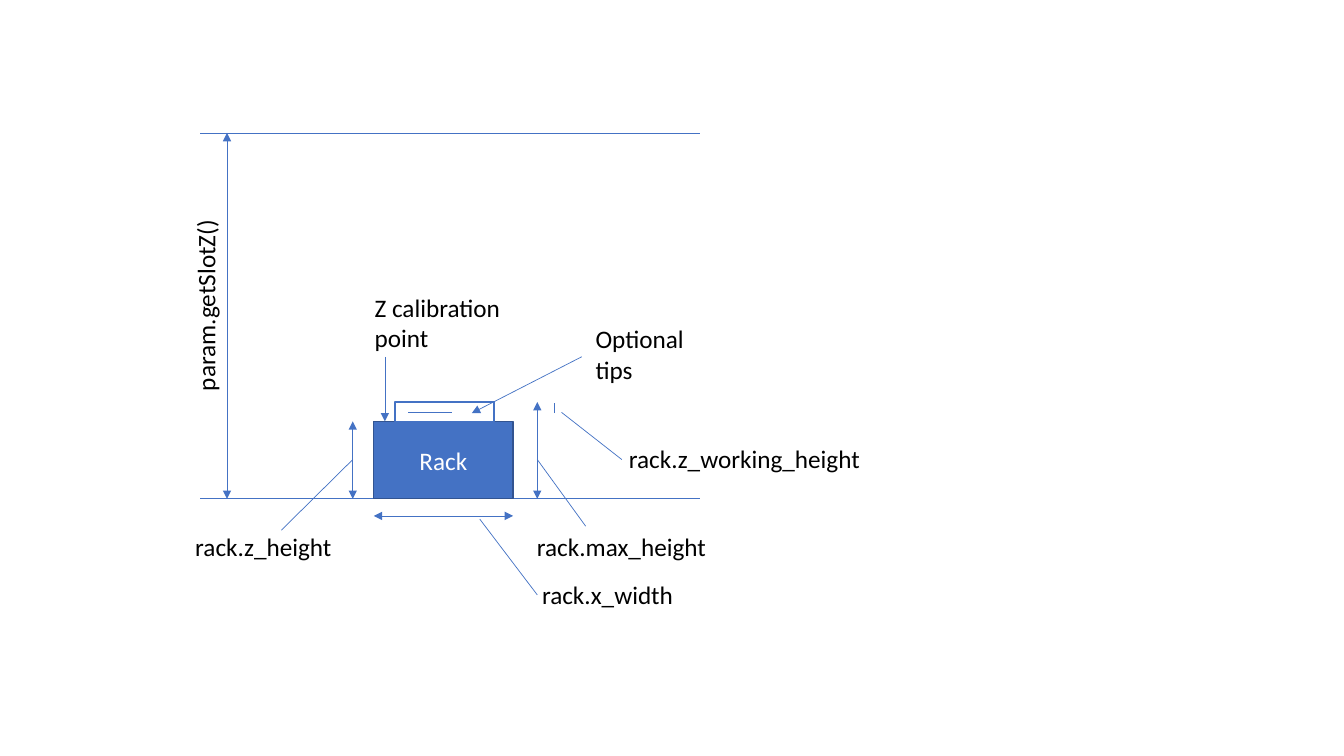
import pptx
import pptx.util
import pptx.dml.color
import pptx.enum.shapes
import pptx.enum.text
import pptx.oxml.ns
import lxml.etree

Cm, Pt = pptx.util.Cm, pptx.util.Pt
RGB = pptx.dml.color.RGBColor.from_string
qn = pptx.oxml.ns.qn
ALIGN = pptx.enum.text.PP_ALIGN

HUES = {"blue": "4472C4", "edge": "325491", "white": "FFFFFF", "black": "000000"}
FONT = {"name": "Calibri", "size": Pt(18)}
FRAME = {"word_wrap": False, "vertical_anchor": pptx.enum.text.MSO_ANCHOR.TOP,
         "auto_size": pptx.enum.text.MSO_AUTO_SIZE.SHAPE_TO_FIT_TEXT}

deck = pptx.Presentation()
deck.slide_width, deck.slide_height = Cm(33.87), Cm(19.05)
slide = deck.slides.add_slide(deck.slide_layouts[6])
shapes = slide.shapes


def write(frame, text, hue, align):
    frame.text = text
    para = frame.paragraphs[0]
    para.alignment = align
    for run in para.runs:
        for key, value in FONT.items():
            setattr(run.font, key, value)
        run.font.color.rgb = RGB(HUES[hue])


def draw(x1, y1, x2, y2, ends=()):
    line = shapes.add_connector(pptx.enum.shapes.MSO_CONNECTOR.STRAIGHT,
                                Cm(x1), Cm(y1), Cm(x2), Cm(y2))
    line.line.color.rgb = RGB(HUES["blue"])
    line.line.width = Pt(0.5)
    for end in ends:
        lxml.etree.SubElement(line.line._get_or_add_ln(), qn("a:" + end), type="triangle")
    lxml.etree.SubElement(line._element.spPr, qn("a:effectLst"))


# Levels and edges shared by the parts
top, base = 3.35, 12.57
left, right = 9.42, 12.93
rim, peak, mid = 10.62, 10.13, 11.58
both, tail = ("headEnd", "tailEnd"), ("tailEnd",)

# Top and base levels
for y in (top, base):
    draw(5.05, y, 17.63, y)

# Rack with the tips on it
for x, y, wide, high, fill, edge, text in (
    (left, rim, right - left, base - rim, "blue", "edge", "Rack"),
    (9.96, peak, 2.49, rim - peak, "white", "blue", ""),
):
    box = shapes.add_shape(pptx.enum.shapes.MSO_SHAPE.RECTANGLE,
                           Cm(x), Cm(y), Cm(wide), Cm(high))
    box.shadow.inherit = False
    box.fill.solid()
    box.fill.fore_color.rgb = RGB(HUES[fill])
    box.line.color.rgb = RGB(HUES[edge])
    box.line.width = Pt(1)
    if text:
        box.text_frame.vertical_anchor = pptx.enum.text.MSO_ANCHOR.MIDDLE
        write(box.text_frame, text, "white", ALIGN.CENTER)

# Measures, pointers and leader lines
for item in (
    (14.66, 8.99, 11.89, 10.41, tail),
    (9.7, 8.99, 9.7, rim, tail),
    (5.72, top, 5.72, base, both),
    (8.89, rim, 8.89, base, both),
    (8.89, mid, 7.09, 13.36),
    (13.54, peak, 13.54, base, both),
    (13.54, mid, 14.76, 13.26),
    (right, 13, left, 13, both),
    (12.09, 13.08, 13.54, 14.99),
    (10.29, 10.39, 11.4, 10.39),
    (13.97, 10.41, 13.97, 10.16),
    (14.15, 10.39, 15.67, mid),
):
    draw(*item)

# Labels
for text, x, y, wide, high, turn, align in (
    ("Optional\vtips", 14.76, 8.03, 2.77, 1.8, 0, ALIGN.LEFT),
    ("Z calibration\vpoint", 9.19, 7.24, 3.71, 1.8, 0, ALIGN.LEFT),
    ("param.getSlotZ()", 2.74, 7.19, 4.88, 1.02, 270, ALIGN.CENTER),
    ("rack.z_height", 4.67, 13.26, 3.99, 1.02, 0, ALIGN.LEFT),
    ("rack.max_height", 13.28, 13.26, 4.83, 1.02, 0, ALIGN.LEFT),
    ("rack.x_width", 13.41, 14.48, 3.84, 1.02, 0, ALIGN.LEFT),
    ("rack.z_working_height", 15.6, 11.05, 6.4, 1.02, 0, ALIGN.LEFT),
):
    label = shapes.add_textbox(Cm(x), Cm(y), Cm(wide), Cm(high))
    label.rotation = turn
    for key, value in FRAME.items():
        setattr(label.text_frame, key, value)
    write(label.text_frame, text, "black", align)

deck.save("out.pptx")
